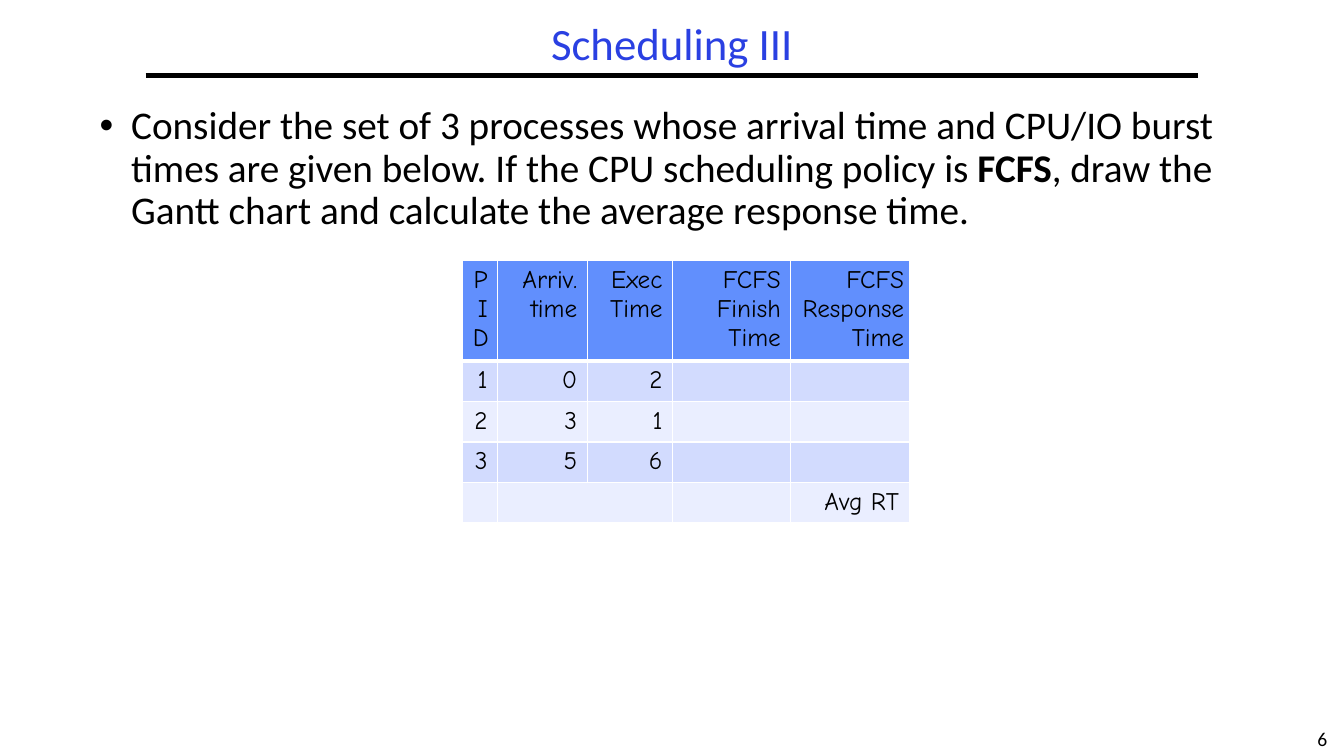
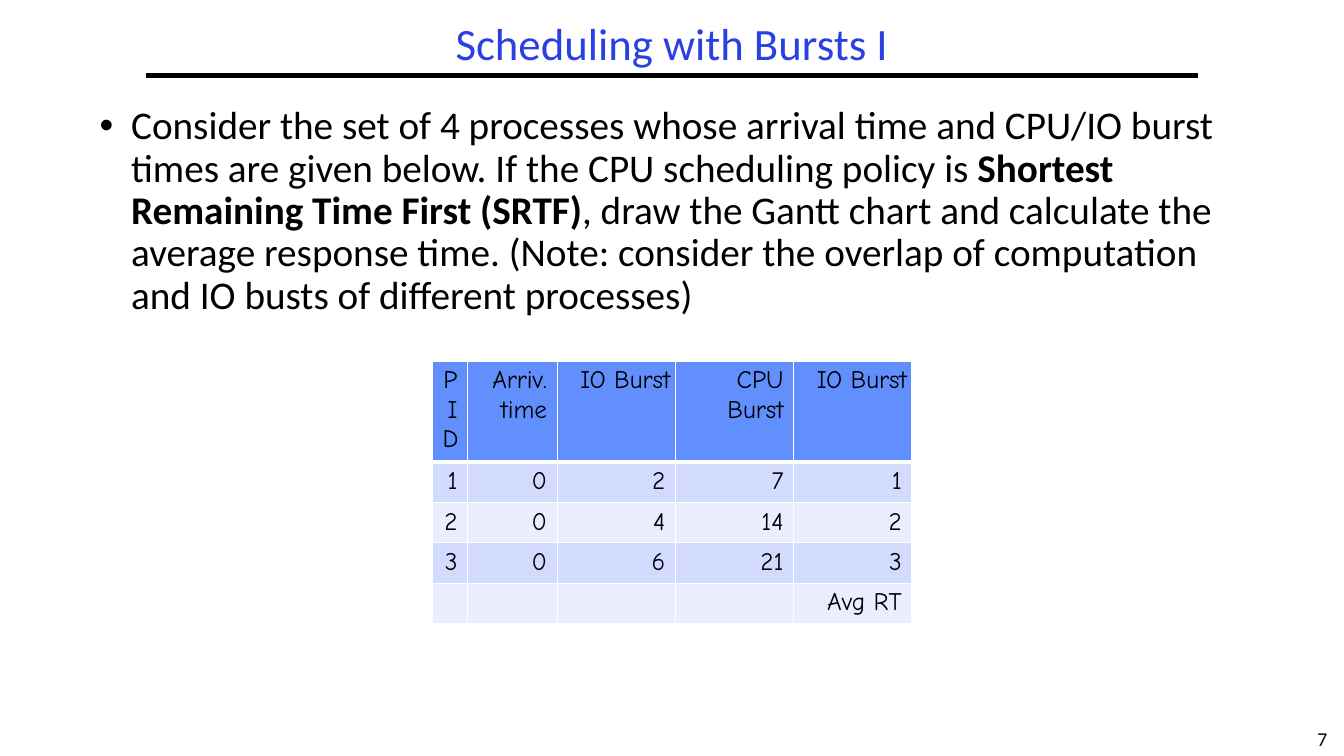
import pptx
import pptx.util
import pptx.dml.color
import pptx.enum.text
import pptx.enum.shapes
import pptx.oxml.ns
import lxml.etree

Pt = pptx.util.Pt
ALIGN = pptx.enum.text.PP_ALIGN
COLOURS = {
    "title": "2A40E2",
    "text": "000000",
    "header": "618FFD",
    "odd": "D2DBFE",
    "even": "EAEEFF",
    "border": "FFFFFF",
}


def colour(name):
    return pptx.dml.color.RGBColor.from_string(COLOURS[name])


def add_element(parent, tag, **attributes):
    return lxml.etree.SubElement(parent, pptx.oxml.ns.qn(tag), attributes)


class Lecture:
    """Hold the lecture style and the slide being built."""

    text_font = "Calibri"
    table_font = "Comic Neue"
    header_height = 69
    row_height = 28

    def __init__(self):
        self.deck = pptx.Presentation()
        self.deck.slide_width = Pt(960)
        self.deck.slide_height = Pt(540)
        self.page = None

    def new_page(self, title, number):
        self.page = self.deck.slides.add_slide(self.deck.slide_layouts[1])
        self.add_number(number)
        self.add_rule()
        self.add_title(title)

    def add_span(self, para, text, size, font=text_font, shade="text", bold=False):
        span = para.add_run()
        span.text = text
        span.font.size = Pt(size)
        span.font.name = font
        span.font.bold = bold
        span.font.color.rgb = colour(shade)

    def place(self, box, left, top, width, height):
        box.left, box.top = Pt(left), Pt(top)
        box.width, box.height = Pt(width), Pt(height)
        box.text_frame.auto_size = pptx.enum.text.MSO_AUTO_SIZE.NONE
        return box.text_frame.paragraphs[0]

    def add_title(self, text):
        para = self.place(self.page.shapes.title, 104, 12, 752, 42)
        para.alignment = ALIGN.CENTER
        para.line_spacing = 0.9
        self.add_span(para, text, 32, shade="title")

    def add_rule(self):
        rule = self.page.shapes.add_connector(
            pptx.enum.shapes.MSO_CONNECTOR.STRAIGHT, Pt(104), Pt(54), Pt(856), Pt(54))
        rule.line.color.rgb = colour("text")
        rule.line.width = Pt(3)
        add_element(rule._element.spPr, "a:effectLst")

    def add_number(self, number):
        box = self.page.shapes.add_textbox(Pt(929), Pt(516), Pt(31), Pt(24))
        box.text_frame.word_wrap = False
        para = box.text_frame.paragraphs[0]
        para.alignment = ALIGN.CENTER
        self.add_span(para, str(number), 14)

    def add_bullet(self, before, strong, after):
        para = self.place(self.page.placeholders[1], 64, 72, 832, 402)
        para.line_spacing = 0.9
        properties = para._p.get_or_add_pPr()
        properties.set("marL", str(Pt(22.5)))
        properties.set("indent", str(-Pt(22.5)))
        add_element(properties, "a:buFont", typeface="Arial")
        add_element(properties, "a:buChar", char="•")
        for text, bold in ((before, False), (strong, True), (after, False)):
            self.add_span(para, text, 28, bold=bold)

    def style_cell(self, cell, text, row, tight):
        cell.margin_left = cell.margin_right = Pt(3.6 if tight else 7.2)
        cell.margin_top = cell.margin_bottom = Pt(3.6)
        properties = cell._tc.get_or_add_tcPr()
        heavy = {0: "a:lnB", 1: "a:lnT"}.get(row)
        for side in ("a:lnL", "a:lnR", "a:lnT", "a:lnB"):
            width = Pt(3 if side == heavy else 1)
            line = add_element(properties, side, w=str(width))
            add_element(add_element(line, "a:solidFill"), "a:srgbClr", val=COLOURS["border"])
        cell.fill.solid()
        shade = "header" if row == 0 else "odd" if row % 2 else "even"
        cell.fill.fore_color.rgb = colour(shade)
        for index, part in enumerate(text.split("\n")):
            frame = cell.text_frame
            para = frame.add_paragraph() if index else frame.paragraphs[0]
            para.alignment = ALIGN.RIGHT
            self.add_span(para, part, 18, font=self.table_font)

    def add_table(self, left, top, widths, rows, tight_headers):
        heights = [self.header_height] + [self.row_height] * (len(rows) - 1)
        table = self.page.shapes.add_table(
            len(rows), len(widths), Pt(left), Pt(top),
            Pt(sum(widths)), Pt(sum(heights))).table
        for column, width in zip(table.columns, widths):
            column.width = Pt(width)
        for line, height in zip(table.rows, heights):
            line.height = Pt(height)
        for row, texts in enumerate(rows):
            for column, text in enumerate(texts):
                tight = row == 0 and column in tight_headers
                self.style_cell(table.cell(row, column), text, row, tight)
        return table


def main():
    lecture = Lecture()

    lecture.new_page("Scheduling III", 6)
    lecture.add_bullet(
        "Consider the set of 3 processes whose arrival time and CPU/IO burst times "
        "are given below. If the CPU scheduling policy is ",
        "FCFS",
        ", draw the Gantt chart and calculate the average response time.")
    table = lecture.add_table(330.5, 186, [25, 64, 61, 84.5, 84.5], [
        ["PID", "Arriv. time", "Exec Time", "FCFS\nFinish Time", "FCFS\nResponse Time"],
        ["1", "0", "2", "", ""],
        ["2", "3", "1", "", ""],
        ["3", "5", "6", "", ""],
        ["", "", "", "", "Avg RT"],
    ], tight_headers={4})
    table.cell(4, 1).merge(table.cell(4, 2))

    lecture.new_page("Scheduling with Bursts I", 7)
    lecture.add_bullet(
        "Consider the set of 4 processes whose arrival time and CPU/IO burst times "
        "are given below. If the CPU scheduling policy is ",
        "Shortest Remaining Time First (SRTF)",
        ", draw the Gantt chart and calculate the average response time. (Note: consider "
        "the overlap of computation and IO busts of different processes)")
    lecture.add_table(309, 258, [25, 64, 84.5, 84.5, 84.5], [
        ["PID", "Arriv. time", "IO Burst", "CPU Burst", "IO Burst"],
        ["1", "0", "2", "7", "1"],
        ["2", "0", "4", "14", "2"],
        ["3", "0", "6", "21", "3"],
        ["", "", "", "", "Avg RT"],
    ], tight_headers={2, 4})

    lecture.deck.save("out.pptx")


if __name__ == "__main__":
    main()
